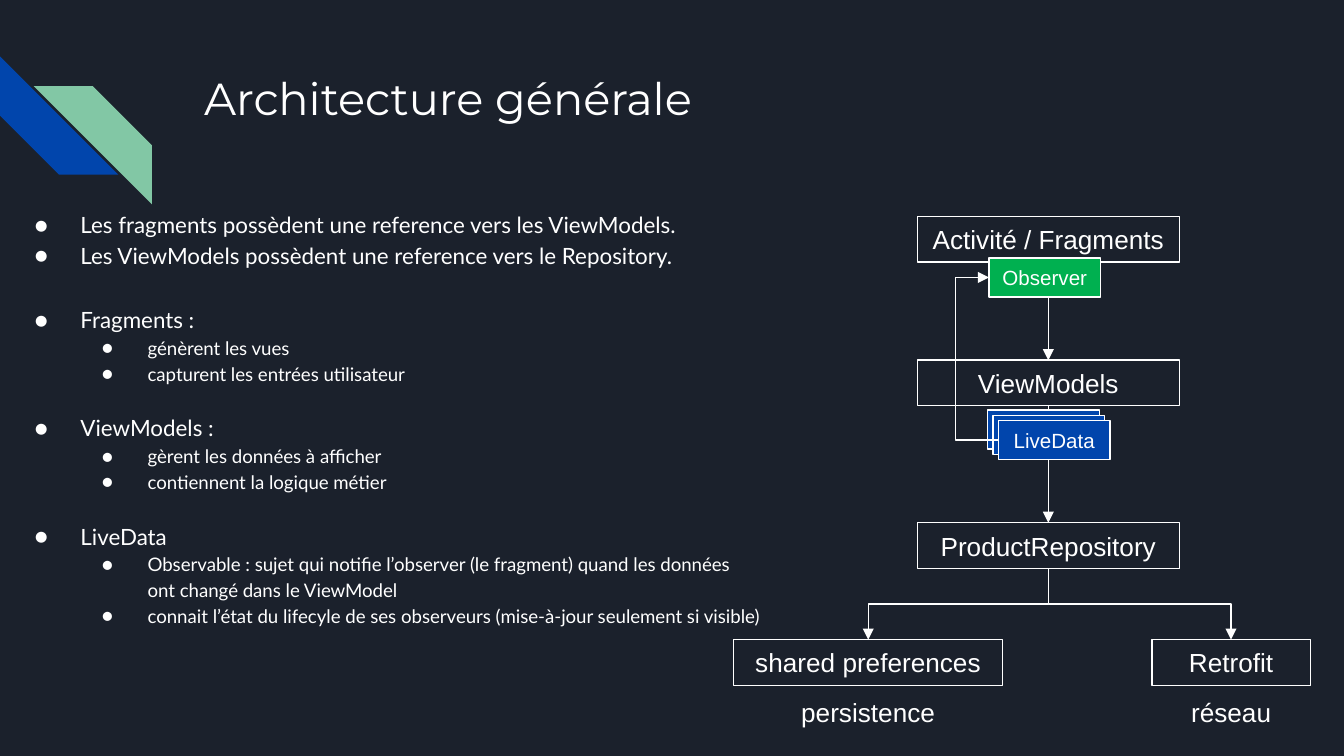
from dataclasses import dataclass
from lxml import etree
from pptx import Presentation
from pptx import util as u
from pptx.dml import color
from pptx.enum import shapes, text
from pptx.oxml import ns


@dataclass(frozen=True)
class Theme:
    night: str = "1B212C"
    white: str = "FFFFFF"
    blue: str = "0145AC"
    mint: str = "82C7A5"
    green: str = "00B050"
    title_font: str = "Montserrat"
    body_font: str = "Lato"
    diagram_font: str = "Arial"
    title: float = 24
    topic: float = 12
    detail: float = 10
    node: float = 14
    tag: float = 11
    line: float = 0.75


THEME = Theme()
TOPICS = [
    ("Les fragments possèdent une reference vers les ViewModels.", 0, []),
    ("Les ViewModels possèdent une reference vers le Repository.", 0, []),
    ("Fragments :", 18, ["génèrent les vues", "capturent les entrées utilisateur"]),
    ("ViewModels :", 13.8, ["gèrent les données à afficher", "contiennent la logique métier"]),
    ("LiveData", 13.8, [
        "Observable : sujet qui notifie l’observer (le fragment) quand les données \v"
        "ont changé dans le ViewModel",
        "connait l’état du lifecyle de ses observeurs (mise-à-jour seulement si visible)",
    ]),
]


def rgb(value):
    return color.RGBColor.from_string(value)


def style(paragraph, font, size):
    paragraph.font.name = font
    paragraph.font.size = u.Pt(size)
    paragraph.font.color.rgb = rgb(THEME.white)


def add_xml(parent, tag, **attributes):
    return etree.SubElement(parent, ns.qn(tag), attributes)


def write_label(shape, words, size):
    frame = shape.text_frame
    frame.word_wrap = True
    frame.vertical_anchor = text.MSO_ANCHOR.MIDDLE
    paragraph = frame.paragraphs[0]
    paragraph.text = words
    paragraph.alignment = text.PP_ALIGN.CENTER
    style(paragraph, THEME.diagram_font, size)


def add_box(slide, left, top, width, height, words="", size=THEME.node, fill=None):
    box = slide.shapes.add_shape(
        shapes.MSO_SHAPE.RECTANGLE, *map(u.Inches, (left, top, width, height)))
    box.shadow.inherit = False
    if fill:
        box.fill.solid()
        box.fill.fore_color.rgb = rgb(fill)
    else:
        box.fill.background()
    box.line.color.rgb = rgb(THEME.white)
    box.line.width = u.Pt(THEME.line)
    if words:
        write_label(box, words, size)


def add_caption(slide, center, top, width, words):
    caption = slide.shapes.add_textbox(
        *map(u.Inches, (center - width / 2, top, width, 0.34)))
    write_label(caption, words, THEME.node)


def add_arrow(slide, start, end, kind=shapes.MSO_CONNECTOR.STRAIGHT):
    arrow = slide.shapes.add_connector(kind, *map(u.Inches, (*start, *end)))
    arrow.line.color.rgb = rgb(THEME.white)
    arrow.line.width = u.Pt(THEME.line)
    add_xml(arrow.line._get_or_add_ln(), "a:tailEnd", type="triangle")
    add_xml(arrow._element.spPr, "a:effectLst")
    return arrow


def add_branch(slide, start, end):
    (x1, y1), (x2, y2) = start, end
    middle_x, middle_y = (x1 + x2) / 2, (y1 + y2) / 2
    drop, reach = y2 - y1, abs(x2 - x1)
    left, top = middle_x - drop / 2, middle_y - reach / 2
    branch = add_arrow(slide, (left, top), (left + drop, top + reach),
                       shapes.MSO_CONNECTOR.ELBOW)
    frame = branch._element.spPr.find(ns.qn("a:xfrm"))
    frame.set("rot", str((90 if x2 < x1 else 270) * 60000))
    if x2 > x1:
        frame.set("flipH", "1")


def add_loop(slide, start, end, loop_x):
    loop = add_arrow(slide, start, end, shapes.MSO_CONNECTOR.ELBOW)
    bend = round((start[0] - loop_x) / (start[0] - end[0]) * 100000)
    guides = loop._element.spPr.find(ns.qn("a:prstGeom")).find(ns.qn("a:avLst"))
    add_xml(guides, "a:gd", name="adj1", fmla=f"val {bend}")


def draw_stripes(slide, left, top, side):
    for dx, dy, fill, mirrored in ((0, 0, THEME.blue, False), (0.25, 0.22, THEME.mint, True)):
        stripe = slide.shapes.add_shape(
            shapes.MSO_SHAPE.DIAGONAL_STRIPE,
            *map(u.Inches, (left + dx, top + dy, side, side)))
        stripe.shadow.inherit = False
        stripe.adjustments[0] = 0.5
        stripe.fill.solid()
        stripe.fill.fore_color.rgb = rgb(fill)
        stripe.line.fill.background()
        if mirrored:
            stripe._element.spPr.find(ns.qn("a:xfrm")).set("flipH", "1")
        else:
            stripe.rotation = 270


def add_text_area(slide, left, top, width, height):
    frame = slide.shapes.add_textbox(*map(u.Inches, (left, top, width, height))).text_frame
    frame.word_wrap = True
    frame.margin_top = frame.margin_bottom = u.Inches(0.1)
    return frame


def draw_title(slide, left, top, width, height):
    heading = add_text_area(slide, left, top, width, height).paragraphs[0]
    heading.text = "Architecture générale"
    style(heading, THEME.title_font, THEME.title)


def write_bullet(paragraph, words, level, gap=0):
    paragraph.text = words
    paragraph.level = level
    properties = paragraph._p.get_or_add_pPr()
    properties.set("marL", str(u.Inches(0.5 + 0.5 * level)))
    properties.set("indent", str(u.Inches(-0.34)))
    add_xml(add_xml(properties, "a:buClr"), "a:srgbClr", val=THEME.white)
    add_xml(properties, "a:buFont", typeface=THEME.body_font)
    add_xml(properties, "a:buChar", char="●")
    paragraph.line_spacing = 1.15
    paragraph.space_before = u.Pt(gap)
    style(paragraph, THEME.body_font, THEME.detail if level else THEME.topic)


def draw_topics(slide, left, top, width, height):
    frame = add_text_area(slide, left, top, width, height)
    for number, (topic, gap, details) in enumerate(TOPICS):
        paragraph = frame.add_paragraph() if number else frame.paragraphs[0]
        write_bullet(paragraph, topic, 0, gap)
        for detail in details:
            write_bullet(frame.add_paragraph(), detail, 1)


def draw_diagram(slide, left, top, width, height):
    layer_w, node_h, tag_w, tag_h = 1.95, 0.34, 0.83, 0.29
    axis = left + 2.34
    fragments, models, repository = top, top + 1.07, top + 2.28
    sources = top + 3.15
    captions = top + height - node_h

    for layer_top, words in ((repository, "ProductRepository"), (models, "ViewModels"),
                             (fragments, "Activité / Fragments")):
        add_box(slide, axis - layer_w / 2, layer_top, layer_w, node_h, words)

    for source_left, source_w, words, caption, caption_w in (
            (left, 2, "shared preferences", "persistence", 1.21),
            (left + width - 1.18, 1.18, "Retrofit", "réseau", 0.95)):
        center = source_left + source_w / 2
        add_box(slide, source_left, sources, source_w, node_h, words)
        add_caption(slide, center, captions, caption_w, caption)
        add_branch(slide, (axis, repository + node_h), (center, sources))

    for upper, lower in ((fragments, models), (models, repository)):
        add_arrow(slide, (axis, upper + node_h), (axis, lower))

    card_left, card_top, step = left + 1.89, top + 1.44, 0.04
    for depth, words in enumerate(("", "", "LiveData")):
        add_box(slide, card_left + depth * step, card_top + depth * step,
                tag_w, tag_h, words, THEME.tag, THEME.blue)

    observer_left, observer_top = left + 1.9, top + 0.31
    add_loop(slide, (card_left + 2 * step, card_top + 2 * step + tag_h / 2),
             (observer_left, observer_top + tag_h / 2), left + 1.65)
    add_box(slide, observer_left, observer_top, tag_w, tag_h, "Observer",
            THEME.tag, THEME.green)


def main():
    deck = Presentation()
    deck.slide_width = u.Inches(10)
    deck.slide_height = deck.slide_width * 9 // 16
    slide = deck.slides.add_slide(deck.slide_layouts[6])
    slide.background.fill.solid()
    slide.background.fill.fore_color.rgb = rgb(THEME.night)
    draw_stripes(slide, 0, 0.42, 0.88)
    draw_title(slide, 1.42, 0.43, 7.7, 1)
    draw_topics(slide, 0, 1.44, 9.12, 3.46)
    draw_diagram(slide, 5.46, 1.61, 4.29, 3.86)
    deck.save("out.pptx")


if __name__ == "__main__":
    main()
